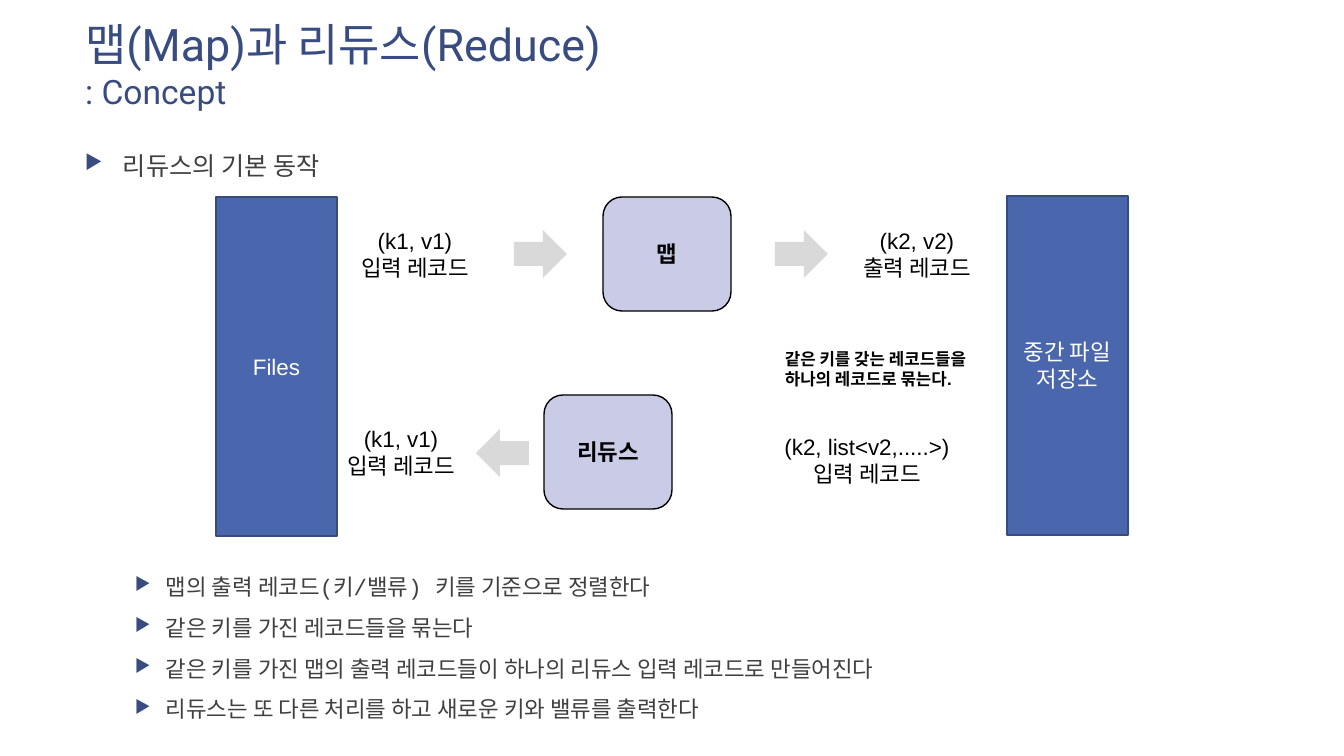
from dataclasses import dataclass
from lxml import etree
from pptx import Presentation
from pptx.dml.color import RGBColor as Rgb
from pptx.enum.shapes import MSO_SHAPE as Kind
from pptx.enum.text import MSO_ANCHOR as Anchor, PP_ALIGN as Align
from pptx.oxml.ns import qn
from pptx.util import Pt


@dataclass(frozen=True)
class Theme:
    head: str = "384C81"
    body: str = "404040"
    ink: str = "000000"
    white: str = "FFFFFF"
    store: str = "4A66AC"
    edge: str = "374B7F"
    step: str = "C9CBE7"
    arrow: str = "D9D9D9"
    big: int = 32
    sub: int = 24
    lead: int = 18
    text: int = 16
    note: int = 12


look = Theme()

title = (("맵(Map)과 리듀스(Reduce)", look.big), (": Concept", look.sub))
lead = ["리듀스의 기본 동작"]
points = [
    "맵의 출력 레코드(키/밸류) 키를 기준으로 정렬한다",
    "같은 키를 가진 레코드들을 묶는다",
    "같은 키를 가진 맵의 출력 레코드들이 하나의 리듀스 입력 레코드로 만들어진다",
    "리듀스는 또 다른 처리를 하고 새로운 키와 밸류를 출력한다",
]
stores = [("Files", 216, 197), ("중간 파일\n저장소", 1007, 196)]
steps = [("맵", 603, 197), ("리듀스", 544, 395)]
arrows = [(514, 230, 0), (775, 230, 0), (476, 429, 180)]
labels = [
    ("(k1, v1)\n입력 레코드", 415, 222),
    ("(k2, v2)\n출력 레코드", 917, 222),
    ("(k1, v1)\n입력 레코드", 401, 420),
    ("(k2, list<v2,.....>)\n입력 레코드", 867, 428),
]
note = "같은 키를 갖는 레코드들을\n하나의 레코드로 묶는다."

DPI = 100.8


def px(n):
    return round(n * 914400 / DPI)


def area(*box):
    return [px(n) for n in box]


def style(para, size, color, font="Arial", bold=False, align=Align.LEFT):
    para.alignment = align
    for run in para.runs:
        run.font.size = Pt(size)
        run.font.name = font
        run.font.bold = bold
        run.font.color.rgb = Rgb.from_string(color)


def write(frame, text, size, color, **opts):
    frame.text = text
    frame.word_wrap = True
    for para in frame.paragraphs:
        style(para, size, color, **opts)


def block(kind, box, fill, edge=None, width=1):
    shape = slide.shapes.add_shape(kind, *area(*box))
    shape.shadow.inherit = False
    shape.fill.solid()
    shape.fill.fore_color.rgb = Rgb.from_string(fill)
    if edge:
        shape.line.color.rgb = Rgb.from_string(edge)
        shape.line.width = Pt(width)
    else:
        shape.line.fill.background()
    return shape


def label(text, box, size, **opts):
    frame = slide.shapes.add_textbox(*area(*box)).text_frame
    write(frame, text, size, look.ink, **opts)


def bullet(para, indent):
    props = para._p.get_or_add_pPr()
    props.set("marL", str(px(indent)))
    props.set("indent", str(-px(indent)))
    color = etree.SubElement(props, qn("a:buClr"))
    etree.SubElement(color, qn("a:srgbClr"), val=look.head)
    etree.SubElement(props, qn("a:buSzPct"), val="80000")
    etree.SubElement(props, qn("a:buChar"), char="▶")


def outline(items, box, size, indent):
    frame = slide.shapes.add_textbox(*area(*box)).text_frame
    write(frame, "\n".join(items), size, look.body, font="Courier New")
    for i, para in enumerate(frame.paragraphs):
        para.space_before = Pt(10 if i else 0)
        bullet(para, indent)


deck = Presentation()
deck.slide_width, deck.slide_height = px(1344), px(756)
slide = deck.slides.add_slide(deck.slide_layouts[5])

head = slide.shapes.title
head.left, head.top, head.width, head.height = area(75, 12, 948, 133)
frame = head.text_frame
frame.text = "\n".join(text for text, size in title)
frame.word_wrap = True
frame.vertical_anchor = Anchor.TOP
for para, (text, size) in zip(frame.paragraphs, title):
    style(para, size, look.head, font="Roboto")

outline(lead, (75, 145, 1185, 40), look.lead, 38)
outline(points, (125, 568, 1135, 166), look.text, 31)

for text, x, y in stores:
    shape = block(Kind.RECTANGLE, (x, y, 121, 339), look.store, look.edge, 1.5)
    shape.text_frame.vertical_anchor = Anchor.MIDDLE
    write(shape.text_frame, text, look.text, look.white, align=Align.CENTER)

for text, x, y in steps:
    shape = block(Kind.ROUNDED_RECTANGLE, (x, y, 128, 114), look.step, look.ink)
    shape.text_frame.vertical_anchor = Anchor.MIDDLE
    write(shape.text_frame, text, look.text, look.ink, bold=True, align=Align.CENTER)

for x, y, turn in arrows:
    block(Kind.RIGHT_ARROW, (x, y, 53, 48), look.arrow).rotation = turn

for text, mid, y in labels:
    wide = 208 if "list" in text else 140
    label(text, (mid - wide // 2, y, wide, 64), look.text, align=Align.CENTER)

label(note, (775, 344, 225, 50), look.note, bold=True)

deck.save("out.pptx")
